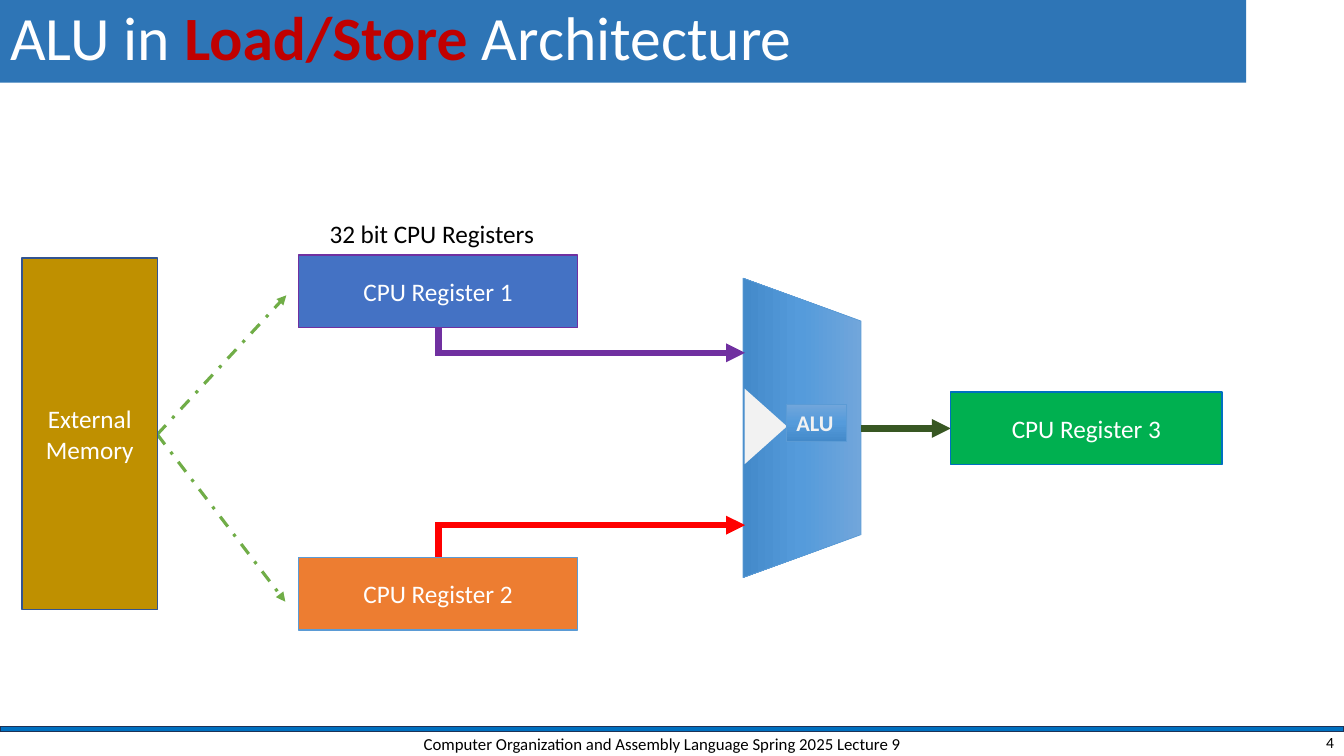
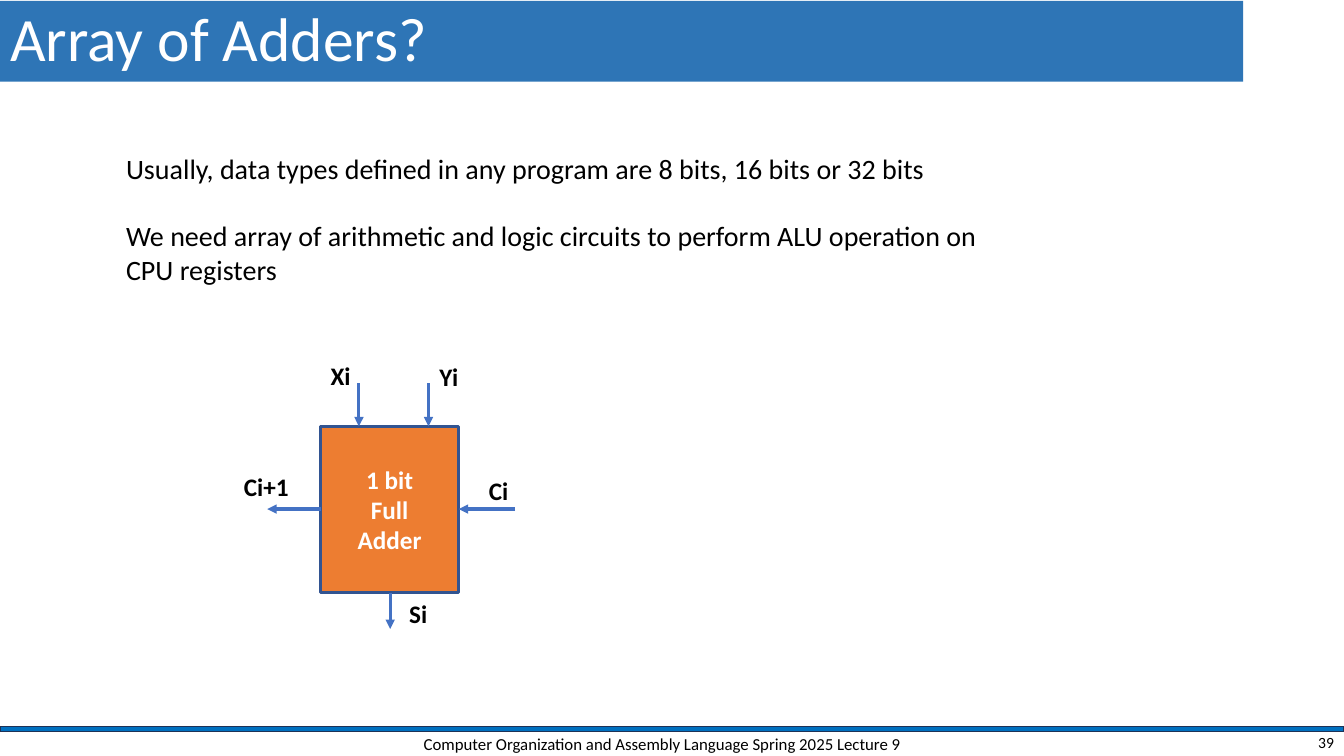
from copy import deepcopy
from itertools import pairwise

from pptx import Presentation
from pptx.dml.color import RGBColor
from pptx.enum.dml import MSO_LINE
from pptx.enum.shapes import MSO_CONNECTOR, MSO_SHAPE
from pptx.enum.text import MSO_ANCHOR, MSO_AUTO_SIZE, PP_ALIGN
from pptx.oxml.ns import qn
from pptx.util import Pt

RECT, TRAP, TRI = MSO_SHAPE.RECTANGLE, MSO_SHAPE.TRAPEZOID, MSO_SHAPE.ISOSCELES_TRIANGLE
LEFT, MID, RIGHT = PP_ALIGN.LEFT, PP_ALIGN.CENTER, PP_ALIGN.RIGHT
TOP, CENTER = MSO_ANCHOR.TOP, MSO_ANCHOR.MIDDLE
STRAIGHT, DASH, FIXED = MSO_CONNECTOR.STRAIGHT, MSO_LINE.DASH_DOT, MSO_AUTO_SIZE.NONE

PX = 9144  # 100 px to the inch
FONT = "Calibri"
HEX = {
    "white": "FFFFFF", "black": "000000", "pale": "F2F2F2",
    "title": "2E75B6", "strong": "C00000",
    "rail": "0070C0", "navy": "1E3256", "edge": "325491",
    "blue": "4472C4", "sky": "5B9BD5", "orange": "ED7D31",
    "purple": "7030A0", "red": "FF0000", "gold": "BF9000",
    "green": "00B050", "leaf": "70AD47", "moss": "385723",
    "light": "71A6DB", "mid": "559BDB", "deep": "448ACA",
}
RGB = {name: RGBColor.from_string(code) for name, code in HEX.items()}
HEAD = {"word_wrap": True, "auto_size": FIXED, "vertical_anchor": CENTER}
BODY = {**HEAD, "vertical_anchor": TOP}


def box(slide, kind, area, text="", fill=None, line=None, width=1, size=18,
        color="white", bold=False, align=MID, anchor=CENTER):
    """Add a shape, or a text box if kind is None."""
    area = [n * PX for n in area]
    if kind is None:
        shape = slide.shapes.add_textbox(*area)
    else:
        shape = slide.shapes.add_shape(kind, *area)
        shape.shadow.inherit = False
    if fill:
        shape.fill.solid()
        shape.fill.fore_color.rgb = RGB[fill]
    if line:
        shape.line.color.rgb = RGB[line]
        shape.line.width = Pt(width)
    else:
        shape.line.fill.background()
    frame = shape.text_frame
    frame.text = text
    frame.word_wrap, frame.vertical_anchor = True, anchor
    for para in frame.paragraphs:
        para.alignment = align
        form = {"name": FONT, "size": Pt(size), "bold": bold}
        for key, val in form.items():
            setattr(para.font, key, val)
        para.font.color.rgb = RGB[color]
        for run in para.runs:
            run.font.color.rgb = RGB[color]
    return shape


def wire(slide, points, color, width=2.25, dash=None):
    """Join the points with lines, the last one ending in an arrow."""
    for start, end in pairwise(points):
        link = slide.shapes.add_connector(STRAIGHT, *[n * PX for n in start + end])
        link.line.color.rgb = RGB[color]
        link.line.width = Pt(width)
        if dash:
            link.line.dash_style = dash
        props = link.element.spPr
        ln = props.find(qn("a:ln"))
        if len(points) > 2:
            ln.set("cap", "sq")
        if end == points[-1]:
            tail = ln.makeelement(qn("a:tailEnd"), {"type": "triangle"})
            ln.append(tail)
        props.append(props.makeelement(qn("a:effectLst"), {}))


deck = Presentation()
deck.slide_width, deck.slide_height = 1333 * PX, 750 * PX

# Shared parts: title, rail, footer and number
PAGES = [
    (5, "4", (0, -1, 1236, 83),
     [("ALU in ", "white"), ("Load/Store ", "strong"), ("Architecture", "white")]),
    (1, "39", (0, 1, 1233, 80), [("Array of Adders?", "white")]),
]
slides = []
for layout, number, area, parts in PAGES:
    slide = deck.slides.add_slide(deck.slide_layouts[layout])
    slides.append(slide)
    title = slide.shapes.title
    title.left, title.top, title.width, title.height = [n * PX for n in area]
    title.fill.solid()
    title.fill.fore_color.rgb = RGB["title"]
    for key, val in HEAD.items():
        setattr(title.text_frame, key, val)
    para = title.text_frame.paragraphs[0]
    para.alignment, para.line_spacing = LEFT, 0.9
    for text, color in parts:
        run = para.add_run()
        run.text = text
        form = {"name": FONT, "size": Pt(44), "bold": color == "strong"}
        for key, val in form.items():
            setattr(run.font, key, val)
        run.font.color.rgb = RGB[color]
    box(slide, RECT, (0, 721, 1333, 5), fill="rail", line="navy")
    box(slide, None, (392, 724, 530, 28),
        "Computer Organization and Assembly Language Spring 2025 Lecture 9",
        size=12, color="black")
    box(slide, None, (1033, 724, 300, 25), number, size=11.1, color="black", align=RIGHT)
flow, adder = slides

# ALU with its notch and label
alu = box(flow, TRAP, (647, 366, 297, 117), line="sky", width=0.5)
alu.adjustments[0] = 0.364
notch = box(flow, TRI, (722, 402, 75, 42), fill="pale")
alu.rotation = notch.rotation = 90
label = box(flow, RECT, (780, 401, 59, 37), "ALU", line="sky", width=0.5,
            size=16, color="pale", bold=True, align=LEFT, anchor=TOP)
for shape in (alu, label):
    shape.fill.gradient()
    shape.fill.gradient_angle = 270
    stops = shape.element.spPr.find(qn("a:gradFill")).find(qn("a:gsLst"))
    stops.append(deepcopy(stops[-1]))
    shades = zip(shape.fill.gradient_stops, ("light", "mid", "deep"), (0, 0.5, 1))
    for stop, color, place in shades:
        stop.color.rgb = RGB[color]
        stop.position = place

# Data paths
wire(flow, [(435, 325), (435, 350), (739, 350)], "purple", 4.5)
wire(flow, [(435, 553), (435, 521), (739, 521)], "red", 4.5)
wire(flow, [(854, 425), (943, 425)], "moss", 4.5)
for end in ((284, 293), (283, 597)):
    wire(flow, [(156, 431), end], "leaf", dash=DASH)

# Memory and registers
box(flow, RECT, (22, 256, 134, 349), "External\nMemory", "gold", "edge")
box(flow, None, (317, 212, 266, 40), "32 bit CPU Registers",
    color="black", align=LEFT, anchor=TOP)
REGS = [
    (296, 253, 277, "blue", "purple"),
    (296, 553, 277, "orange", "sky"),
    (943, 389, 269, "green", "rail"),
]
for index, (left, top, wide, fill, line) in enumerate(REGS, 1):
    box(flow, RECT, (left, top, wide, 72), f"CPU Register {index}", fill, line)

# Body text
body = adder.placeholders[1]
body.left, body.top, body.width, body.height = [n * PX for n in (115, 145, 878, 212)]
frame = body.text_frame
for key, val in BODY.items():
    setattr(frame, key, val)
frame.text = (
    "Usually, data types defined in any program are 8 bits, 16 bits or 32 bits\n"
    "We need array of arithmetic and logic circuits to perform ALU operation on "
    "CPU registers"
)
for para, gap in zip(frame.paragraphs, (0, 24)):
    form = {"alignment": LEFT, "line_spacing": 1.0, "space_before": Pt(gap)}
    for key, val in form.items():
        setattr(para, key, val)
    font = para.runs[0].font
    font.name, font.size = FONT, Pt(20)
    font.color.rgb = RGB["black"]
    props = para._p.get_or_add_pPr()
    props.set("marL", "0")
    props.set("indent", "0")
    props.append(props.makeelement(qn("a:buNone"), {}))

# Full adder with its inputs and outputs
box(adder, RECT, (318, 423, 137, 165), "1 bit\nFull\nAdder", "orange", "edge",
    width=2.25, bold=True)
PINS = [
    ("Xi", (318, 353, 44, 40), (356, 380), (356, 423)),
    ("Yi", (426, 354, 43, 40), (425, 380), (425, 423)),
    ("Ci", (475, 467, 43, 40), (511, 505), (455, 505)),
    ("Si", (396, 589, 42, 40), (387, 588), (387, 624)),
    ("Ci+1", (232, 463, 71, 40), (318, 505), (265, 505)),
]
for name, area, start, end in PINS:
    wire(adder, [start, end], "blue")
    box(adder, None, area, name, color="black", bold=True, align=LEFT, anchor=TOP)

deck.save("out.pptx")
